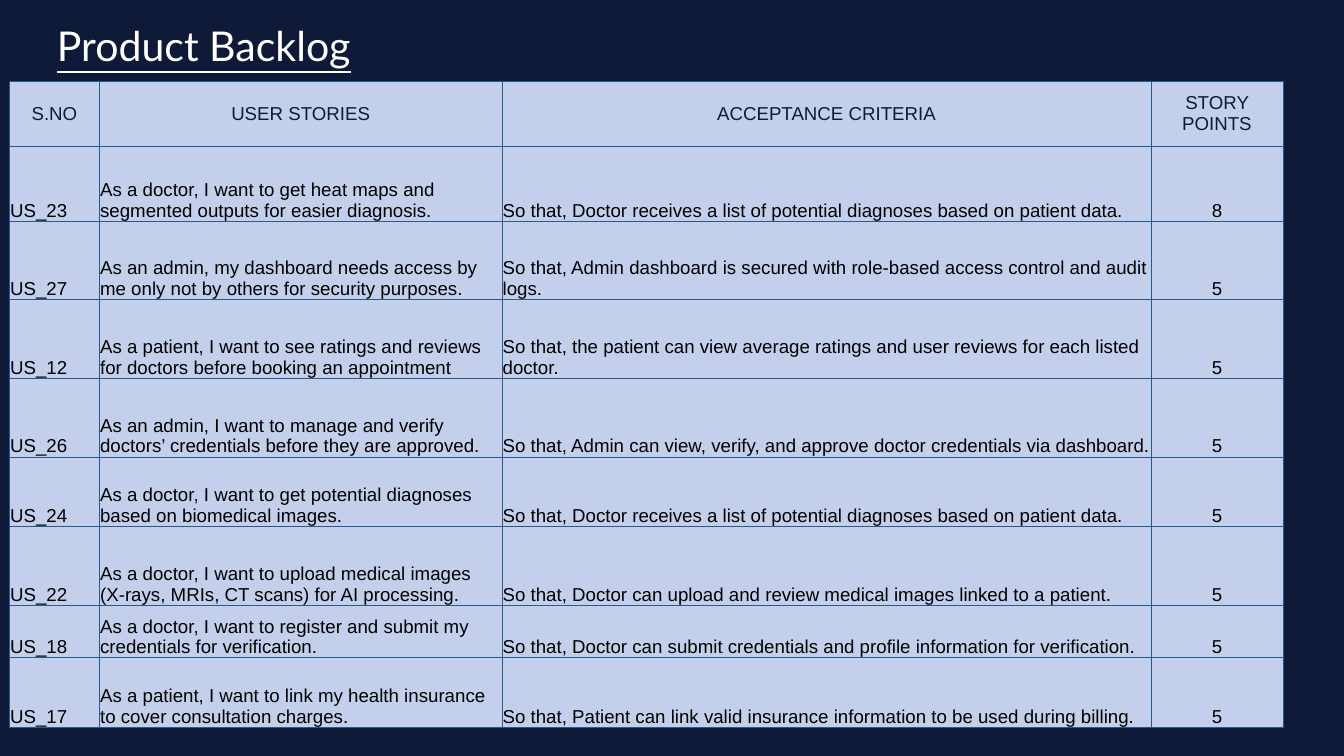
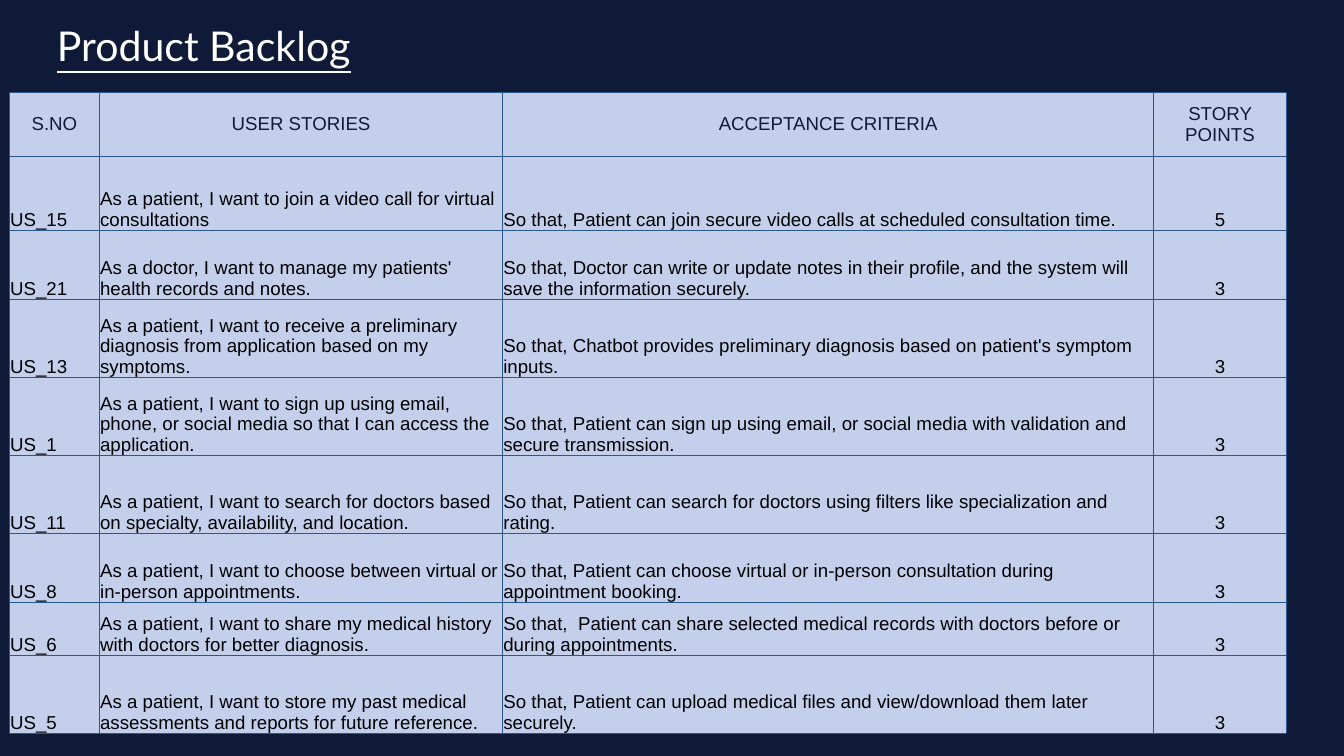
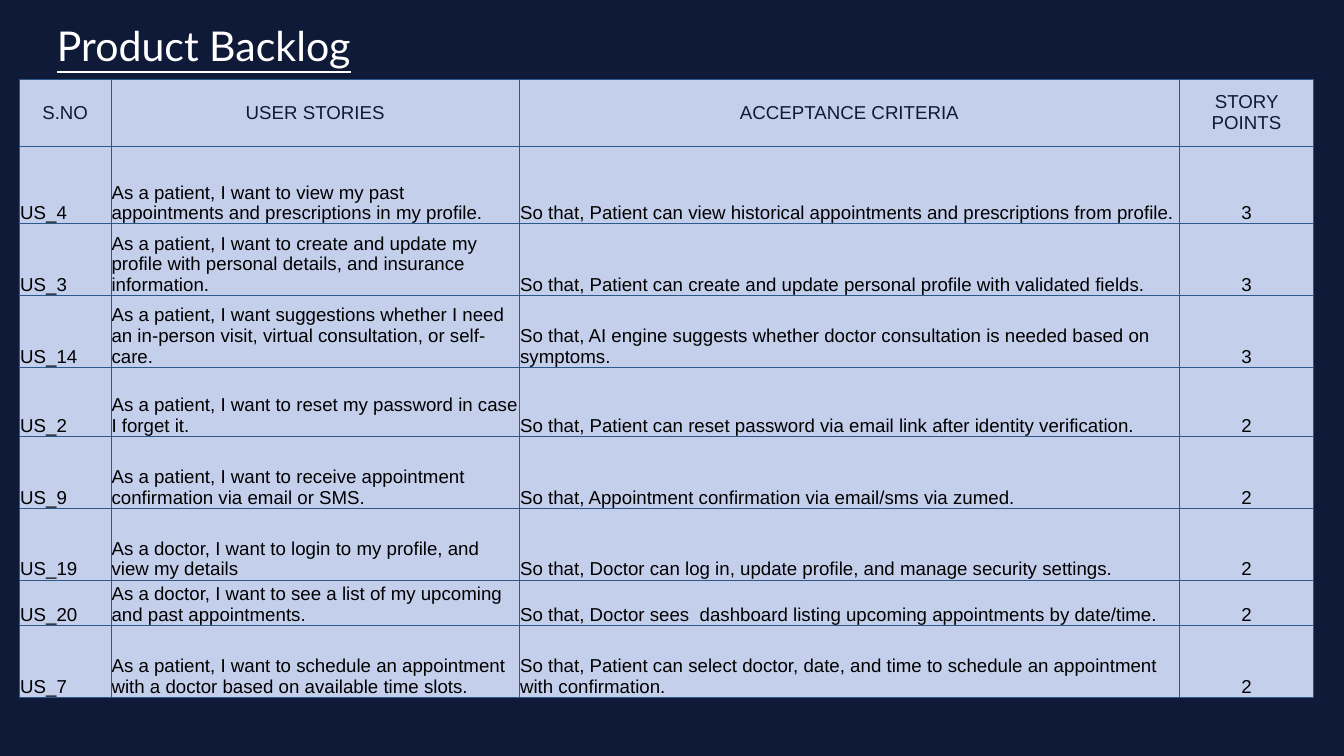
"""Build three product backlog slides, each a title above a story table."""
from dataclasses import dataclass

from lxml import etree
from pptx import Presentation
from pptx.dml.color import RGBColor
from pptx.enum import text
from pptx.oxml import ns
from pptx.util import Inches, Pt

TITLE = "Product Backlog"
HEADERS = ("S.NO", "USER STORIES", "ACCEPTANCE CRITERIA", "STORY POINTS")
BACKLOGS = [
    {
        "at": (0.14, 1.21),
        "cols": (1.34, 5.99, 9.66, 1.96),
        "rows": (0.97, 1.11, 1.17, 1.17, 1.17, 1.04, 1.17, 0.78, 1.04),
        "stories": [
            ("US_23", "As a doctor, I want to get heat maps and segmented outputs for easier diagnosis.",
             "So that, Doctor receives a list of potential diagnoses based on patient data.", 8),
            ("US_27", "As an admin, my dashboard needs access by me only not by others for security purposes.",
             "So that, Admin dashboard is secured with role-based access control and audit logs.", 5),
            ("US_12", "As a patient, I want to see ratings and reviews for doctors before booking an appointment",
             "So that, the patient can view average ratings and user reviews for each listed doctor.", 5),
            ("US_26", "As an admin, I want to manage and verify doctors’ credentials before they are approved.",
             "So that, Admin can view, verify, and approve doctor credentials via dashboard.", 5),
            ("US_24", "As a doctor, I want to get potential diagnoses based on biomedical images.",
             "So that, Doctor receives a list of potential diagnoses based on patient data.", 5),
            ("US_22", "As a doctor, I want to upload medical images (X-rays, MRIs, CT scans) for AI processing.",
             "So that, Doctor can upload and review medical images linked to a patient.", 5),
            ("US_18", "As a doctor, I want to register and submit my credentials for verification.",
             "So that, Doctor can submit credentials and profile information for verification.", 5),
            ("US_17", "As a patient, I want to link my health insurance to cover consultation charges.",
             "So that, Patient can link valid insurance information to be used during billing.", 5),
        ],
    },
    {
        "at": (0.14, 1.37),
        "cols": (1.34, 6, 9.69, 1.97),
        "rows": (0.96, 1.1, 1.03, 1.16, 1.16, 1.16, 1.03, 0.78, 1.16),
        "stories": [
            ("US_15", "As a patient, I want to join a video call for virtual consultations",
             "So that, Patient can join secure video calls at scheduled consultation time.", 5),
            ("US_21", "As a doctor, I want to manage my patients' health records and notes.",
             "So that, Doctor can write or update notes in their profile, "
             "and the system will save the information securely.", 3),
            ("US_13", "As a patient, I want to receive a preliminary diagnosis from application based on my symptoms.",
             "So that, Chatbot provides preliminary diagnosis based on patient's symptom inputs.", 3),
            ("US_1", "As a patient, I want to sign up using email, phone, or social media "
             "so that I can access the application.",
             "So that, Patient can sign up using email, or social media with validation and secure transmission.", 3),
            ("US_11", "As a patient, I want to search for doctors based on specialty, availability, and location.",
             "So that, Patient can search for doctors using filters like specialization and rating.", 3),
            ("US_8", "As a patient, I want to choose between virtual or in-person appointments.",
             "So that, Patient can choose virtual or in-person consultation during appointment booking.", 3),
            ("US_6", "As a patient, I want to share my medical history with doctors for better diagnosis.",
             "So that,  Patient can share selected medical records with doctors before or during appointments.", 3),
            ("US_5", "As a patient, I want to store my past medical assessments and reports for future reference.",
             "So that, Patient can upload medical files and view/download them later securely.", 3),
        ],
    },
    {
        "at": (0.29, 1.18),
        "cols": (1.36, 6.08, 9.82, 2),
        "rows": (1, 1.15, 1.07, 1.07, 1.02, 1.07, 1.07, 0.67, 1.07),
        "stories": [
            ("US_4", "As a patient, I want to view my past appointments and prescriptions in my profile.",
             "So that, Patient can view historical appointments and prescriptions from profile.", 3),
            ("US_3", "As a patient, I want to create and update my profile with personal details, "
             "and insurance information.",
             "So that, Patient can create and update personal profile with validated fields.", 3),
            ("US_14", "As a patient, I want suggestions whether I need an in-person visit, "
             "virtual consultation, or self-care.",
             "So that, AI engine suggests whether doctor consultation is needed based on symptoms.", 3),
            ("US_2", "As a patient, I want to reset my password in case I forget it.",
             "So that, Patient can reset password via email link after identity verification.", 2),
            ("US_9", "As a patient, I want to receive appointment confirmation via email or SMS.",
             "So that, Appointment confirmation via email/sms via zumed.", 2),
            ("US_19", "As a doctor, I want to login to my profile, and view my details",
             "So that, Doctor can log in, update profile, and manage security settings.", 2),
            ("US_20", "As a doctor, I want to see a list of my upcoming and past appointments.",
             "So that, Doctor sees  dashboard listing upcoming appointments by date/time.", 2),
            ("US_7", "As a patient, I want to schedule an appointment with a doctor based on available time slots.",
             "So that, Patient can select doctor, date, and time to schedule an appointment with confirmation.", 2),
        ],
    },
]


@dataclass(frozen=True)
class Theme:
    navy: str = "0F1A38"
    white: str = "FFFFFF"
    black: str = "000000"
    cell: str = "C4CFEB"
    border: str = "2A598E"
    border_pt: float = 0.75
    title_font: str = "Lato"
    title_pt: int = 44
    table_font: str = "Arial"
    table_pt: int = 20


THEME = Theme()


def rgb(value):
    return RGBColor.from_string(value)


def write(tf, words, font, size, color, align, underline=False):
    p = tf.paragraphs[0]
    p.alignment = align
    r = p.add_run()
    r.text = words
    r.font.name, r.font.size = font, Pt(size)
    r.font.color.rgb = rgb(color)
    r.font.bold, r.font.underline = False, underline


def add_title(s):
    sp = s.shapes.add_textbox(Inches(0), Inches(-0.13), Inches(6.07), Inches(1.61))
    tf = sp.text_frame
    tf.word_wrap = True
    tf.vertical_anchor = text.MSO_ANCHOR.MIDDLE
    write(tf, TITLE, THEME.title_font, THEME.title_pt, THEME.white, text.PP_ALIGN.CENTER, True)


def add_borders(cell):
    tcPr = cell._tc.get_or_add_tcPr()
    for side in ("lnL", "lnR", "lnT", "lnB"):
        ln = etree.SubElement(tcPr, ns.qn(f"a:{side}"), w=str(Pt(THEME.border_pt)))
        fill = etree.SubElement(ln, ns.qn("a:solidFill"))
        etree.SubElement(fill, ns.qn("a:srgbClr"), val=THEME.border)


def fill_cell(cell, words, is_header, centred):
    add_borders(cell)
    cell.fill.solid()
    cell.fill.fore_color.rgb = rgb(THEME.cell)
    inset = Inches(0 if is_header else 0.01)
    cell.margin_left = cell.margin_right = cell.margin_top = inset
    cell.margin_bottom = 0
    cell.vertical_anchor = text.MSO_ANCHOR.MIDDLE if is_header else text.MSO_ANCHOR.BOTTOM
    write(cell.text_frame, words, THEME.table_font, THEME.table_pt,
          THEME.navy if is_header else THEME.black,
          text.PP_ALIGN.CENTER if centred else text.PP_ALIGN.LEFT)


def add_backlog(s, backlog):
    cols, rows = backlog["cols"], backlog["rows"]
    left, top = backlog["at"]
    table = s.shapes.add_table(len(rows), len(cols), Inches(left), Inches(top),
                               Inches(sum(cols)), Inches(sum(rows))).table
    table.first_row = table.horz_banding = False
    for col, width in zip(table.columns, cols):
        col.width = Inches(width)
    for row, height in zip(table.rows, rows):
        row.height = Inches(height)
    for i, values in enumerate([HEADERS, *backlog["stories"]]):
        for j, value in enumerate(values):
            is_header = i == 0
            fill_cell(table.cell(i, j), str(value), is_header, is_header or j == len(cols) - 1)


def main():
    prs = Presentation()
    prs.slide_width, prs.slide_height = Inches(20), Inches(11.25)
    for backlog in BACKLOGS:
        s = prs.slides.add_slide(prs.slide_layouts[6])
        s.background.fill.solid()
        s.background.fill.fore_color.rgb = rgb(THEME.navy)
        add_title(s)
        add_backlog(s, backlog)
    prs.save("out.pptx")


if __name__ == "__main__":
    main()
